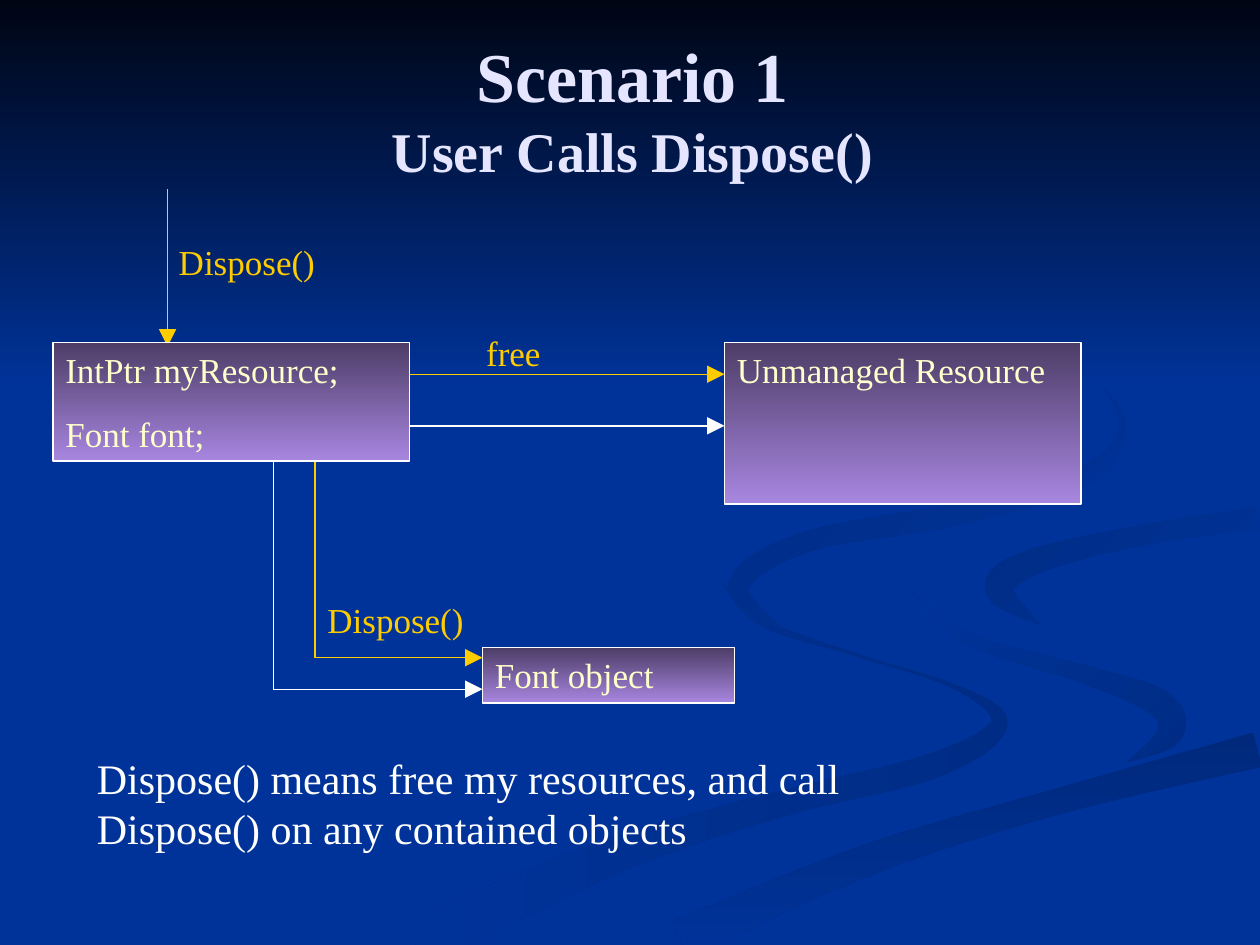
from math import hypot

from lxml.etree import SubElement
from pptx import Presentation
from pptx.dml.color import RGBColor
from pptx.enum.shapes import MSO_CONNECTOR, MSO_SHAPE
from pptx.enum.text import MSO_ANCHOR, PP_ALIGN
from pptx.oxml.ns import qn
from pptx.util import Inches, Pt

NAVY = RGBColor(0x00, 0x33, 0x99)
NIGHT = RGBColor(0x00, 0x05, 0x14)
SHADE = RGBColor(0x00, 0x2C, 0x85)
DEEP_SHADE = RGBColor(0x00, 0x29, 0x7C)
PLUM = RGBColor(0x4D, 0x3D, 0x67)
LILAC = RGBColor(0xA8, 0x86, 0xE0)
LAVENDER = RGBColor(0xE5, 0xE5, 0xFF)
CREAM = RGBColor(0xFF, 0xFF, 0xCC)
GOLD = RGBColor(0xFF, 0xCC, 0x00)
WHITE = RGBColor(0xFF, 0xFF, 0xFF)

DOWNWARD = 270


def smooth(bends, steps=6):
    """Pass a Catmull-Rom curve through bends of (x, y, half width)."""
    padded = [bends[0], *bends, bends[-1]]
    curve = []
    for before, start, end, after in zip(padded, padded[1:], padded[2:], padded[3:]):
        for step in range(steps):
            t = step / steps
            curve.append(tuple(
                b + t * (c - a) / 2
                + t ** 2 * (a - 2.5 * b + 2 * c - d / 2)
                + t ** 3 * (1.5 * (b - c) + (d - a) / 2)
                for a, b, c, d in zip(before, start, end, after)))
    return curve + [bends[-1]]


def ribbon(bends):
    """Offset the curve to both sides by its half width and join the two banks."""
    curve = smooth(bends)
    left_bank, right_bank = [], []
    for before, (x, y, half), after in zip(
            [curve[0], *curve], curve, [*curve[1:], curve[-1]]):
        run, rise = after[0] - before[0], after[1] - before[1]
        length = hypot(run, rise)
        across, down = -rise / length * half, run / length * half
        left_bank.append((x + across, y + down))
        right_bank.append((x - across, y - down))
    return left_bank + right_bank[::-1]


class SlideBuilder:
    font_name = "Times New Roman"
    line_width = Pt(0.75)

    def __init__(self, slide):
        self.slide = slide
        self.shapes = slide.shapes

    def background(self, color):
        fill = self.slide.background.fill
        fill.solid()
        fill.fore_color.rgb = color

    def gradient(self, fill, colors, angle):
        fill.gradient()
        fill.gradient_angle = angle
        for stop, color in zip(fill.gradient_stops, colors):
            stop.color.rgb = color

    def backdrop(self, outline, colors, angle):
        start, *rest = [(Inches(x), Inches(y)) for x, y in outline]
        builder = self.shapes.build_freeform(*start)
        builder.add_line_segments(rest, close=True)
        region = builder.convert_to_shape()
        region.shadow.inherit = False
        region.line.fill.background()
        self.gradient(region.fill, colors, angle)

    def style(self, paragraph, size, color, space_before=0):
        paragraph.space_before = Pt(space_before)
        paragraph.font.name = self.font_name
        paragraph.font.size = Pt(size)
        paragraph.font.color.rgb = color

    def title(self, left, top, width, height, lines):
        frame = self.shapes.add_textbox(*map(Inches, (left, top, width, height))).text_frame
        frame.word_wrap = True
        frame.vertical_anchor = MSO_ANCHOR.MIDDLE
        heading = frame.paragraphs[0]
        heading.alignment = PP_ALIGN.CENTER
        heading.font.name = self.font_name
        heading.font.bold = True
        heading.font.color.rgb = LAVENDER
        for index, (text, size) in enumerate(lines):
            if index:
                heading.add_line_break()
            run = heading.add_run()
            run.text = text
            run.font.size = Pt(size)

    def text(self, left, top, width, height, text, size, color, space_before=0, wrap=False):
        frame = self.shapes.add_textbox(*map(Inches, (left, top, width, height))).text_frame
        frame.word_wrap = wrap
        frame.text = text
        self.style(frame.paragraphs[0], size, color, space_before)

    def box(self, left, top, width, height, text):
        node = self.shapes.add_shape(
            MSO_SHAPE.RECTANGLE, *map(Inches, (left, top, width, height)))
        node.shadow.inherit = False
        self.gradient(node.fill, (PLUM, LILAC), DOWNWARD)
        node.line.color.rgb = WHITE
        node.line.width = self.line_width
        frame = node.text_frame
        frame.vertical_anchor = MSO_ANCHOR.TOP
        frame.text = text
        for paragraph in frame.paragraphs:
            paragraph.alignment = PP_ALIGN.LEFT
            self.style(paragraph, 20, CREAM, 12.5)

    def line(self, x1, y1, x2, y2, color, arrow=True):
        link = self.shapes.add_connector(
            MSO_CONNECTOR.STRAIGHT, *map(Inches, (x1, y1, x2, y2)))
        link.line.color.rgb = color
        link.line.width = self.line_width
        if arrow:
            SubElement(link.line._get_or_add_ln(), qn("a:tailEnd"),
                       type="triangle", w="lg", len="lg")
        SubElement(link._element.spPr, qn("a:effectLst"))


def draw_backdrop(page, width, horizon):
    lower_stream = [(5.73, 4.62, 0), (6.05, 4.94, 0.03), (6.8, 5.2, 0.01),
                    (7.6, 5.46, 0.02), (7.93, 5.75, 0.07), (7.4, 6.08, 0.1),
                    (6.2, 6.38, 0.1), (4.85, 6.8, 0.14), (3.3, 7.49, 0.2)]
    middle_stream = [(7.24, 4.7, 0), (7.7, 5.08, 0.04), (8.6, 5.35, 0.07),
                     (9.2, 5.58, 0.11), (9.28, 5.83, 0.1), (8.94, 6.05, 0)]
    foreground_band = [(9.98, 5.95, 0.14), (8.4, 6.36, 0.1),
                       (6.9, 6.82, 0.12), (5.4, 7.45, 0.15)]
    right_bend = [(9.98, 4.11, 0.09), (9, 4.26, 0.08), (8.2, 4.46, 0.1),
                  (7.93, 4.68, 0.11), (8.26, 4.96, 0)]
    upper_stream = [(8.7, 2.98, 0), (8.91, 3.4, 0.03), (8.6, 3.78, 0.08),
                    (7.6, 4.08, 0.09), (6.4, 4.3, 0.08), (5.86, 4.65, 0.08),
                    (6.22, 5, 0)]
    for bends, colors, angle in [
        (lower_stream, (SHADE, NAVY), 180),
        (middle_stream, (SHADE, NAVY), 135),
        (foreground_band, (DEEP_SHADE, NAVY), DOWNWARD),
        (right_bend, (NAVY, SHADE), 135),
        (upper_stream, (NAVY, SHADE), 135),
    ]:
        page.backdrop(ribbon(bends), colors, angle)
    sky = [(0, 0), (0, horizon), (width, horizon), (width, 0)]
    page.backdrop(sky, (NIGHT, NAVY), DOWNWARD)


def draw_calls(page):
    holder_left, holder_top, holder_width, holder_height = 0.42, 2.72, 2.83, 0.94
    resource_left, font_left, label_height = 5.75, 3.83, 0.44
    holder_right = holder_left + holder_width
    holder_bottom = holder_top + holder_height

    page.box(resource_left, holder_top, holder_width, 1.28, "Unmanaged Resource")
    page.box(font_left, 5.14, 2, label_height, "Font object")

    page.line(1.33, 1.5, 1.33, 2.75, GOLD)
    for y, color in [(3.38, WHITE), (2.97, GOLD)]:
        page.line(holder_right, y, resource_left, y, color)
    for x, y, color in [(2.17, 5.47, WHITE), (2.5, 5.22, GOLD)]:
        page.line(x, holder_bottom, x, y, color, arrow=False)
        page.line(x, y, font_left, y, color)

    for left, top, width, call in [
        (1.32, 1.86, 1.41, "Dispose()"),
        (2.5, 4.7, 1.41, "Dispose()"),
        (3.76, 2.58, 0.73, "free"),
    ]:
        page.text(left, top, width, label_height, call, 20, GOLD)

    page.box(holder_left, holder_top, holder_width, holder_height,
             "IntPtr myResource;\nFont font;")


def main():
    presentation = Presentation()
    presentation.slide_width = Inches(10)
    presentation.slide_height = Inches(7.5)
    page = SlideBuilder(presentation.slides.add_slide(presentation.slide_layouts[6]))

    page.background(NAVY)
    draw_backdrop(page, width=10, horizon=3.08)
    page.title(0.58, 0.3, 8.88, 1.12, [("Scenario 1", 40), ("User Calls Dispose()", 32)])
    draw_calls(page)
    page.text(0.67, 5.92, 7.42, 0.9,
              "Dispose() means free my resources, and call Dispose() on any contained objects",
              24, WHITE, space_before=15, wrap=True)
    presentation.save("out.pptx")


if __name__ == "__main__":
    main()
